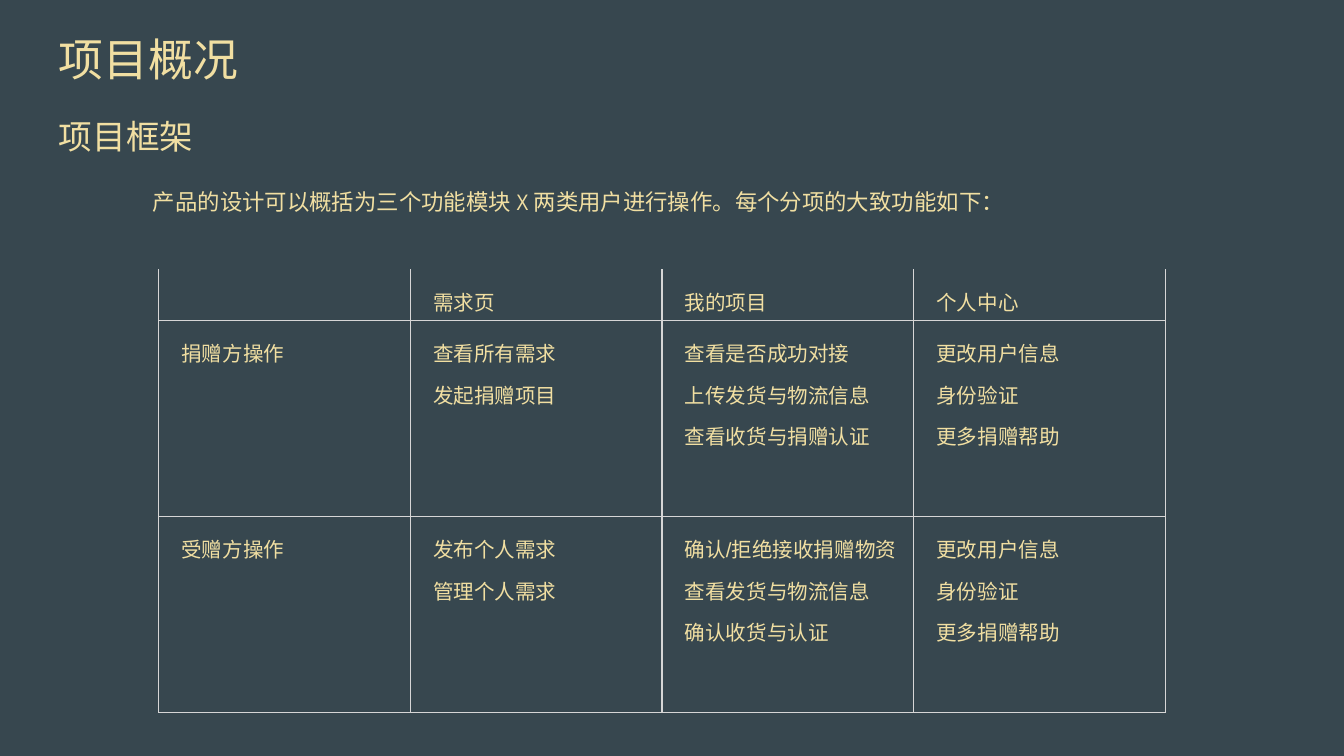
import pptx
import pptx.util
import pptx.dml.color
import pptx.enum.text
import pptx.oxml
import pptx.oxml.ns

Inches, Pt = pptx.util.Inches, pptx.util.Pt
WIDTH = 10
HEIGHT = WIDTH * 9 / 16
COLORS = {"background": "37474F", "text": "F1DFA2", "border": "D6D6D6"}
HEADING, BODY = "Arial Narrow", "Arial"

MODULES = ["", "需求页", "我的项目", "个人中心"]
DONOR = [
    "捐赠方操作",
    "查看所有需求\n发起捐赠项目",
    "查看是否成功对接\n上传发货与物流信息\n查看收货与捐赠认证",
    "更改用户信息\n身份验证\n更多捐赠帮助",
]
RECIPIENT = [
    "受赠方操作",
    "发布个人需求\n管理个人需求",
    "确认/拒绝接收捐赠物资\n查看发货与物流信息\n确认收货与认证",
    "更改用户信息\n身份验证\n更多捐赠帮助",
]


def rgb(name):
    """Return the named palette colour."""
    return pptx.dml.color.RGBColor.from_string(COLORS[name])


def style_paragraph(p, size, font, indent=0, spacing=None):
    """Set font, left indent and line spacing of a paragraph."""
    p.font.size, p.font.name = Pt(size), font
    p.font.color.rgb = rgb("text")
    if spacing:
        p.line_spacing = spacing
    if indent:
        pPr = p._p.get_or_add_pPr()
        pPr.set("marL", str(Inches(indent)))
        pPr.set("indent", "0")


def add_text(slide, box, text, size, **style):
    """Add a one-paragraph text box; box holds shares of the slide."""
    x, y, w, h = box
    sp = slide.shapes.add_textbox(Inches(x * WIDTH), Inches(y * HEIGHT),
                                  Inches(w * WIDTH), Inches(h * HEIGHT))
    tf = sp.text_frame
    tf.word_wrap = True
    tf.margin_left = tf.margin_right = Inches(0.1)
    tf.margin_top = tf.margin_bottom = Inches(0.1)
    p = tf.paragraphs[0]
    p.add_run().text = text
    style_paragraph(p, size, HEADING, **style)
    return tf


def set_borders(cell, hidden=()):
    """Draw thin lines on the four sides of a cell, except hidden ones."""
    tcPr = cell._tc.get_or_add_tcPr()
    for i, side in enumerate(("lnL", "lnR", "lnT", "lnB")):
        paint = "<a:noFill/>" if side in hidden else (
            f'<a:solidFill><a:srgbClr val="{COLORS["border"]}"/></a:solidFill>')
        tcPr.insert(i, pptx.oxml.parse_xml(
            f'<a:{side} {pptx.oxml.ns.nsdecls("a")} w="{Pt(0.75)}">{paint}</a:{side}>'))


def fill_cell(cell, text, hidden=()):
    """Write the lines of text into a cell and style it."""
    cell.fill.background()
    cell.margin_left = cell.margin_right = Inches(0.1)
    cell.margin_top = cell.margin_bottom = Inches(0.04)
    if text:
        cell.text = text
        for p in cell.text_frame.paragraphs:
            style_paragraph(p, 11, BODY, 0.07, 1.4)
    set_borders(cell, hidden)


def add_function_table(slide, box, rows, heights):
    """Add the table of modules by user type, with equal columns."""
    x, y, w = box
    shape = slide.shapes.add_table(
        len(rows), len(rows[0]), Inches(x * WIDTH), Inches(y * HEIGHT),
        Inches(w * WIDTH), Inches(sum(heights)))
    table = shape.table
    table.first_row = table.horz_banding = False
    for r, (texts, height) in enumerate(zip(rows, heights)):
        table.rows[r].height = Inches(height)
        for c, text in enumerate(texts):
            fill_cell(table.cell(r, c), text, () if r else ("lnT",))


def main():
    """Build the slide and save it."""
    prs = pptx.Presentation()
    prs.slide_width, prs.slide_height = Inches(WIDTH), Inches(HEIGHT)
    slide = prs.slides.add_slide(prs.slide_layouts[6])
    slide.background.fill.solid()
    slide.background.fill.fore_color.rgb = rgb("background")

    for top, text, size in ((0.024, "项目概况", 24), (0.136, "项目框架", 18)):
        add_text(slide, (0.034, top, 0.932, 0.112), text, size)

    add_function_table(slide, (0.118, 0.356, 0.749),
                       [MODULES, DONOR, RECIPIENT], [0.36, 1.46, 1.46])

    tf = add_text(slide, (0, 0.18, 0.9, 0.167),
                  "产品的设计可以概括为三个功能模块 X 两类用户进行操作。每个分项的大致功能如",
                  12, indent=1.04, spacing=1.15)
    tf.vertical_anchor = pptx.enum.text.MSO_ANCHOR.MIDDLE
    r = tf.paragraphs[0].add_run()
    r.text, r.font.name = "下：", BODY

    prs.save("out.pptx")


main()
